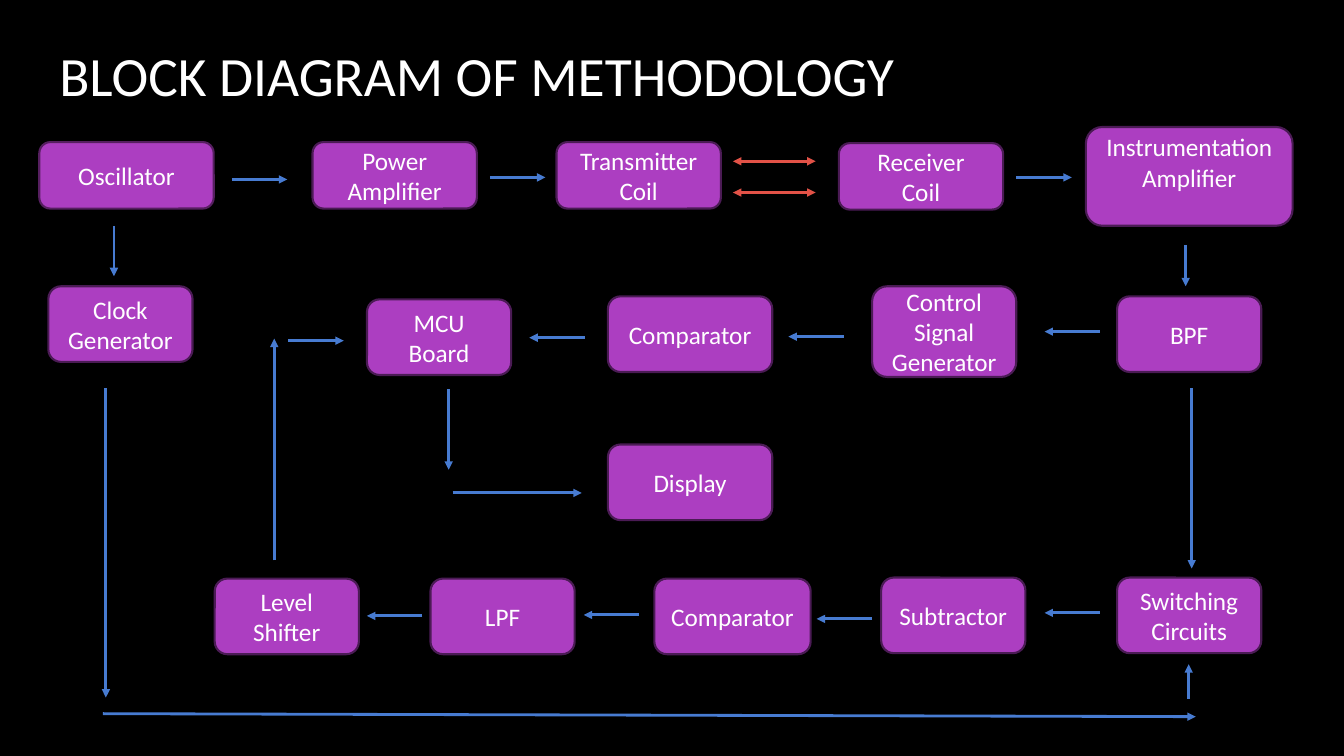
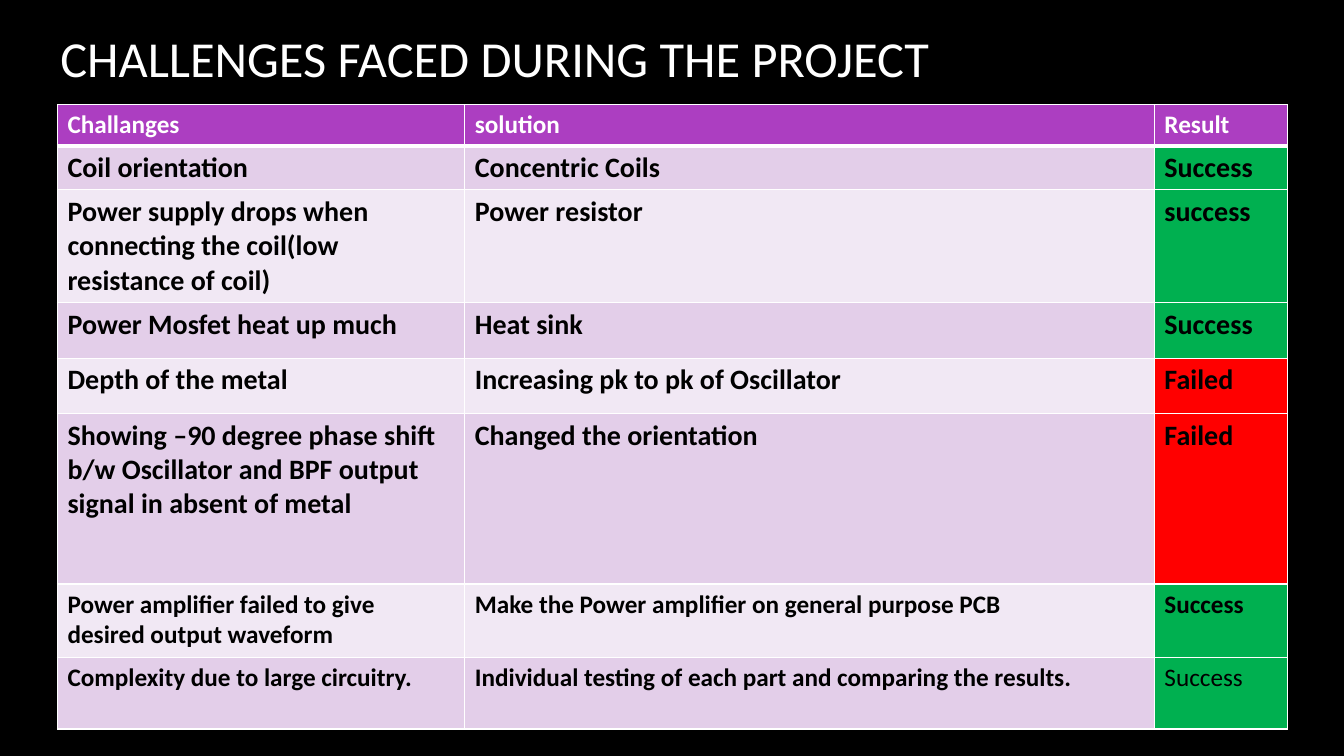
import pptx
import pptx.dml.color
import pptx.enum.shapes
import pptx.enum.text
import pptx.oxml
import pptx.oxml.ns
import pptx.util
from dataclasses import dataclass
from lxml import etree

Inches = pptx.util.Inches
Pt = pptx.util.Pt
ANCHOR = pptx.enum.text.MSO_ANCHOR
ALIGN = pptx.enum.text.PP_ALIGN


@dataclass(frozen=True)
class Theme:
    font: str = "Calibri"
    background: str = "000000"
    light: str = "FFFFFF"
    dark: str = "000000"
    block: str = "AC3EC1"
    block_edge: str = "4B1B55"
    first_edge: str = "561F60"
    flow: str = "477BD1"
    coupling: str = "E25247"
    bands: tuple = ("E3CEE9", "F1E8F4")
    success: str = "00B050"
    failed: str = "FF0000"
    body_size: float = 18
    large_size: float = 20
    edge_width: float = 1.5
    arrow_width: float = 2
    border_width: float = 1
    header_rule: float = 3


def rgb(value):
    return pptx.dml.color.RGBColor.from_string(value)


def add_xml(parent, tag, **attributes):
    return etree.SubElement(parent, pptx.oxml.ns.qn(tag), attributes)


class Deck:
    def __init__(self, theme):
        self.theme = theme
        self.deck = pptx.Presentation()
        self.deck.slide_width = Inches(13.33)
        self.deck.slide_height = Inches(7.5)
        self.page = None

    def new_page(self):
        self.page = self.deck.slides.add_slide(self.deck.slide_layouts[6])
        fill = self.page.background.fill
        fill.solid()
        fill.fore_color.rgb = rgb(self.theme.background)

    def style(self, frame, size, color, bold=False, align=ALIGN.LEFT):
        for para in frame.paragraphs:
            para.alignment = align
            para.font.name = self.theme.font
            para.font.size = Pt(size)
            para.font.bold = bold
            para.font.color.rgb = rgb(color)

    def title(self, text, left, top, width, height, size):
        box = self.page.shapes.add_textbox(
            Inches(left), Inches(top), Inches(width), Inches(height))
        frame = box.text_frame
        frame.word_wrap = True
        frame.vertical_anchor = ANCHOR.MIDDLE
        frame.text = text
        self.style(frame, size, self.theme.light)

    def block(self, text, left, top, width, height, edge=None, anchor=ANCHOR.MIDDLE):
        box = self.page.shapes.add_shape(
            pptx.enum.shapes.MSO_SHAPE.ROUNDED_RECTANGLE,
            Inches(left), Inches(top), Inches(width), Inches(height))
        box.shadow.inherit = False
        box.fill.solid()
        box.fill.fore_color.rgb = rgb(self.theme.block)
        box.line.color.rgb = rgb(edge or self.theme.block_edge)
        box.line.width = Pt(self.theme.edge_width)
        frame = box.text_frame
        frame.word_wrap = True
        frame.vertical_anchor = anchor
        frame.margin_top = frame.margin_bottom = 0
        frame.text = text
        self.style(frame, self.theme.body_size, self.theme.light, align=ALIGN.CENTER)

    def arrow(self, start_x, start_y, end_x, end_y, color=None, both_ways=False):
        line = self.page.shapes.add_connector(
            pptx.enum.shapes.MSO_CONNECTOR.STRAIGHT,
            Inches(start_x), Inches(start_y), Inches(end_x), Inches(end_y))
        line.line.color.rgb = rgb(color or self.theme.flow)
        line.line.width = Pt(self.theme.arrow_width)
        properties = line.line._get_or_add_ln()
        if both_ways:
            add_xml(properties, "a:headEnd", type="triangle")
        add_xml(properties, "a:tailEnd", type="triangle")
        add_xml(line._element.spPr, "a:effectLst")

    def borders(self, cell, bottom_width):
        """Draw all four cell borders; call before filling the cell."""
        properties = cell._tc.get_or_add_tcPr()
        for side in "LRTB":
            width = bottom_width if side == "B" else self.theme.border_width
            border = add_xml(properties, f"a:ln{side}", w=str(Pt(width)))
            fill = add_xml(border, "a:solidFill")
            add_xml(fill, "a:srgbClr", val=self.theme.light)

    def cell(self, cell, text, fill, size, color, bold=True, bottom_width=None):
        self.borders(cell, bottom_width or self.theme.border_width)
        cell.fill.solid()
        cell.fill.fore_color.rgb = rgb(fill)
        cell.text_frame.text = text
        self.style(cell.text_frame, size, color, bold)

    def results_table(self, left, top, widths, header, rows):
        """Each row is (height, text size, texts); the last text sets its colour."""
        theme = self.theme
        header_height, header_texts = header
        heights = [header_height] + [row[0] for row in rows]
        table = self.page.shapes.add_table(
            len(heights), len(widths), Inches(left), Inches(top),
            Inches(sum(widths)), Inches(sum(heights))).table
        for column, width in zip(table.columns, widths):
            column.width = Inches(width)
        for row, height in zip(table.rows, heights):
            row.height = Inches(height)
        for column, text in enumerate(header_texts):
            self.cell(table.cell(0, column), text, theme.block, theme.body_size,
                      theme.light, bottom_width=theme.header_rule)
        last_column = len(widths) - 1
        for number, (_, size, texts) in enumerate(rows, 1):
            for column, text in enumerate(texts):
                is_result = column == last_column
                fill = theme.bands[(number - 1) % 2]
                if is_result:
                    fill = theme.failed if text == "Failed" else theme.success
                bold = not (is_result and number == len(rows))
                self.cell(table.cell(number, column), text, fill, size,
                          theme.dark, bold)


def methodology(deck):
    deck.new_page()
    deck.title("BLOCK DIAGRAM OF METHODOLOGY", 0.49, 0.4, 11.38, 0.68, 39.6)

    deck.block("Oscillator", 0.39, 1.41, 1.73, 0.66, edge=deck.theme.first_edge)
    deck.block("Instrumentation\nAmplifier", 10.77, 1.26, 2.05, 0.98, anchor=ANCHOR.TOP)
    deck.block("Control Signal Generator", 8.65, 2.84, 1.43, 0.9)
    for text, left, top in (
            ("Power Amplifier", 3.1, 1.41),
            ("Transmitter Coil", 5.52, 1.41),
            ("Receiver\nCoil", 8.32, 1.42)):
        deck.block(text, left, top, 1.63, 0.66)
    for text, left, top, width in (
            ("Clock Generator", 0.48, 2.84, 1.43),
            ("MCU Board", 3.64, 2.97, 1.43),
            ("Comparator", 6.03, 2.94, 1.63),
            ("BPF", 11.08, 2.94, 1.43),
            ("Display", 6.03, 4.41, 1.63),
            ("Level Shifter", 2.13, 5.74, 1.43),
            ("LPF", 4.27, 5.74, 1.43),
            ("Comparator", 6.49, 5.74, 1.55),
            ("Subtractor", 8.74, 5.73, 1.43),
            ("Switching Circuits", 11.08, 5.73, 1.43)):
        deck.block(text, left, top, width, 0.75)

    step = 0.55
    for left, y in ((2.3, 1.78), (4.86, 1.76), (10.08, 1.76), (2.86, 3.38)):
        deck.arrow(left, y, left + step, y)
    for right, y in ((5.8, 3.35), (8.37, 3.34), (10.91, 3.29), (4.19, 6.11),
                     (6.34, 6.1), (8.65, 6.14), (10.91, 6.08)):
        deck.arrow(right, y, right - step, y)
    for x, start, end in ((1.13, 2.24, 2.74), (11.76, 2.43, 2.84), (1.05, 3.85, 6.92),
                          (4.45, 3.86, 4.66), (2.72, 5.56, 3.36),
                          (11.82, 3.85, 5.64), (11.79, 6.93, 6.59)):
        deck.arrow(x, start, x, end)
    deck.arrow(4.49, 4.89, 5.77, 4.89)
    deck.arrow(1.02, 7.08, 11.86, 7.11)
    for y in (1.6, 1.91):
        deck.arrow(7.27, y, 8.09, y, color=deck.theme.coupling, both_ways=True)


def challenges(deck):
    deck.new_page()
    deck.title("CHALLENGES FACED DURING THE PROJECT", 0.5, 0, 11.08, 1.13, 36)
    large, body = deck.theme.large_size, deck.theme.body_size
    deck.results_table(
        0.57, 1.04, (4.04, 6.84, 1.32),
        (0.41, ("Challanges", "solution", "Result")),
        (
            (0.43, large, ("Coil orientation", "Concentric Coils", "Success")),
            (1.12, large, (
                "Power supply drops when connecting the coil(low resistance of coil)",
                "Power resistor", "success")),
            (0.55, large, ("Power Mosfet heat up much", "Heat sink", "Success")),
            (0.55, large, (
                "Depth of the metal", "Increasing pk to pk of Oscillator", "Failed")),
            (1.69, large, (
                "Showing –90 degree phase shift b/w Oscillator and BPF output "
                "signal in absent of metal",
                "Changed the orientation", "Failed")),
            (0.73, body, (
                "Power amplifier failed to give desired output waveform",
                "Make the Power amplifier on general purpose PCB", "Success")),
            (0.71, body, (
                "Complexity due to large circuitry.",
                "Individual testing of each part and comparing the results.",
                "Success")),
        ))


def main():
    deck = Deck(Theme())
    methodology(deck)
    challenges(deck)
    deck.deck.save("out.pptx")


if __name__ == "__main__":
    main()
